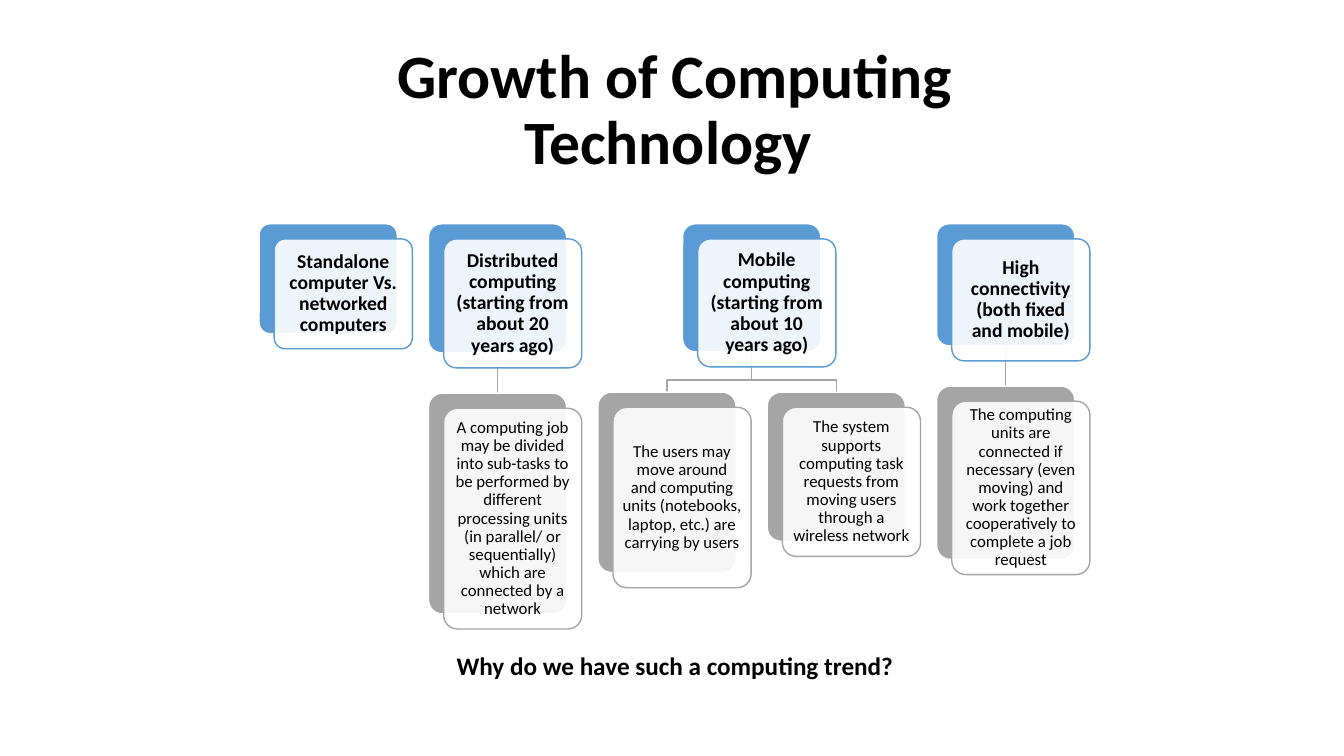
from lxml import etree
from pptx import Presentation
from pptx.dml.color import RGBColor
from pptx.enum import shapes, text
from pptx.oxml import ns
from pptx.util import Inches, Pt

# Content
TITLE = "Growth of Computing Technology "
QUESTION = "Why do we have such a computing trend?"
# Each branch: left, height, text, children with the same fields
BRANCHES = [
    (2.57, 1.09, "Standalone computer Vs. networked computers", []),
    (4.25, 1.28, "Distributed computing (starting from about 20 years ago)", [
        (4.25, 2.19, "A computing job may be divided into sub-tasks to be performed by "
                     "different processing units (in parallel/ or sequentially) which are "
                     "connected by a network")]),
    (6.77, 1.27, "Mobile computing (starting from about 10 years ago)", [
        (5.93, 1.79, "The users may move around and computing units (notebooks, laptop, "
                     "etc.) are carrying by users"),
        (7.61, 1.48, "The system supports computing task requests from moving users "
                     "through a wireless network")]),
    (9.29, 1.21, "High connectivity (both fixed and mobile)", [
        (9.29, 1.72, "The computing units are connected if necessary (even moving) and "
                     "work together cooperatively to complete a job request")]),
]
COLORS = {"blue": "5B9BD5", "gray": "A5A5A5", "white": "FFFFFF", "black": "000000"}
FONT = "Calibri"
TOP, CARD_W, OFFSET, GAP, BEND = 2.22, 1.37, 0.15, 0.4, 0.28


def rgb(name):
    return RGBColor.from_string(COLORS[name])


def write(sp, content, size, bold=False, inset=0.1, wrap=True):
    tf = sp.text_frame
    tf.word_wrap = wrap
    tf.vertical_anchor = text.MSO_ANCHOR.MIDDLE
    tf.margin_left = tf.margin_right = Inches(inset)
    tf.margin_top = tf.margin_bottom = Inches(min(inset, 0.06))
    p = tf.paragraphs[0]
    p.alignment = text.PP_ALIGN.CENTER
    p.line_spacing = 0.9
    r = p.add_run()
    r.text = content
    r.font.name, r.font.size, r.font.bold = FONT, Pt(size), bold
    r.font.color.rgb = rgb("black")


def rounded(x, y, h, fill, line):
    sp = s.shapes.add_shape(shapes.MSO_SHAPE.ROUNDED_RECTANGLE,
                            Inches(x), Inches(y), Inches(CARD_W), Inches(h))
    sp.adjustments[0] = 0.1
    sp.shadow.inherit = False
    sp.fill.solid()
    sp.fill.fore_color.rgb = rgb(fill)
    sp.line.color.rgb = rgb(line)
    sp.line.width = Pt(1)
    return sp


def card(x, y, h, content, color, **fmt):
    back = rounded(x, y, h, color, "white")
    front = rounded(x + OFFSET, y + OFFSET, h, "white", color)
    clr = front.fill._xPr.find(".//" + ns.qn("a:srgbClr"))
    etree.SubElement(clr, ns.qn("a:alpha"), val="90000")
    write(front, content, **fmt)
    return back


def straight_link(x, y):
    cx = s.shapes.add_connector(shapes.MSO_CONNECTOR.STRAIGHT,
                                Inches(x), Inches(y), Inches(x), Inches(y + GAP))
    etree.SubElement(cx._element.spPr, ns.qn("a:effectLst"))
    return cx


def bent_link(x, y, x2):
    points = [(x, y + BEND), (x2, y + BEND), (x2, y + GAP)]
    fb = s.shapes.build_freeform(Inches(x), Inches(y))
    fb.add_line_segments([(Inches(a), Inches(b)) for a, b in points], close=False)
    sp = fb.convert_to_shape()
    sp.shadow.inherit = False
    sp.fill.background()
    return sp


prs = Presentation()
prs.slide_width, prs.slide_height = Inches(13.33), Inches(7.5)
s = prs.slides.add_slide(prs.slide_layouts[6])

# Title
write(s.shapes.add_textbox(Inches(2.57), Inches(0.31), Inches(8.25), Inches(1.59)),
      TITLE, size=44, bold=True)

# Links lie behind the cards
links = {}
for x, h, _, children in BRANCHES:
    mid, bottom = x + CARD_W / 2, TOP + h
    for child_x, *_ in children:
        if child_x == x:
            link = links[x] = straight_link(mid, bottom)
        else:
            link = bent_link(mid, bottom, child_x + CARD_W / 2)
        link.line.color.rgb = rgb("gray")
        link.line.width = Pt(1)

# Cards
for x, h, content, children in BRANCHES:
    parent = card(x, TOP, h, content, "blue", size=14, bold=True, inset=0.06)
    for child_x, child_h, child_text in children:
        child = card(child_x, TOP + h + GAP, child_h, child_text, "gray",
                     size=12, inset=0.05)
        if child_x == x:
            links[x].begin_connect(parent, 2)
            links[x].end_connect(child, 0)

# Closing question
write(s.shapes.add_textbox(Inches(4.41), Inches(6.44), Inches(4.57), Inches(0.37)),
      QUESTION, size=18, bold=True, wrap=False)

prs.save("out.pptx")
